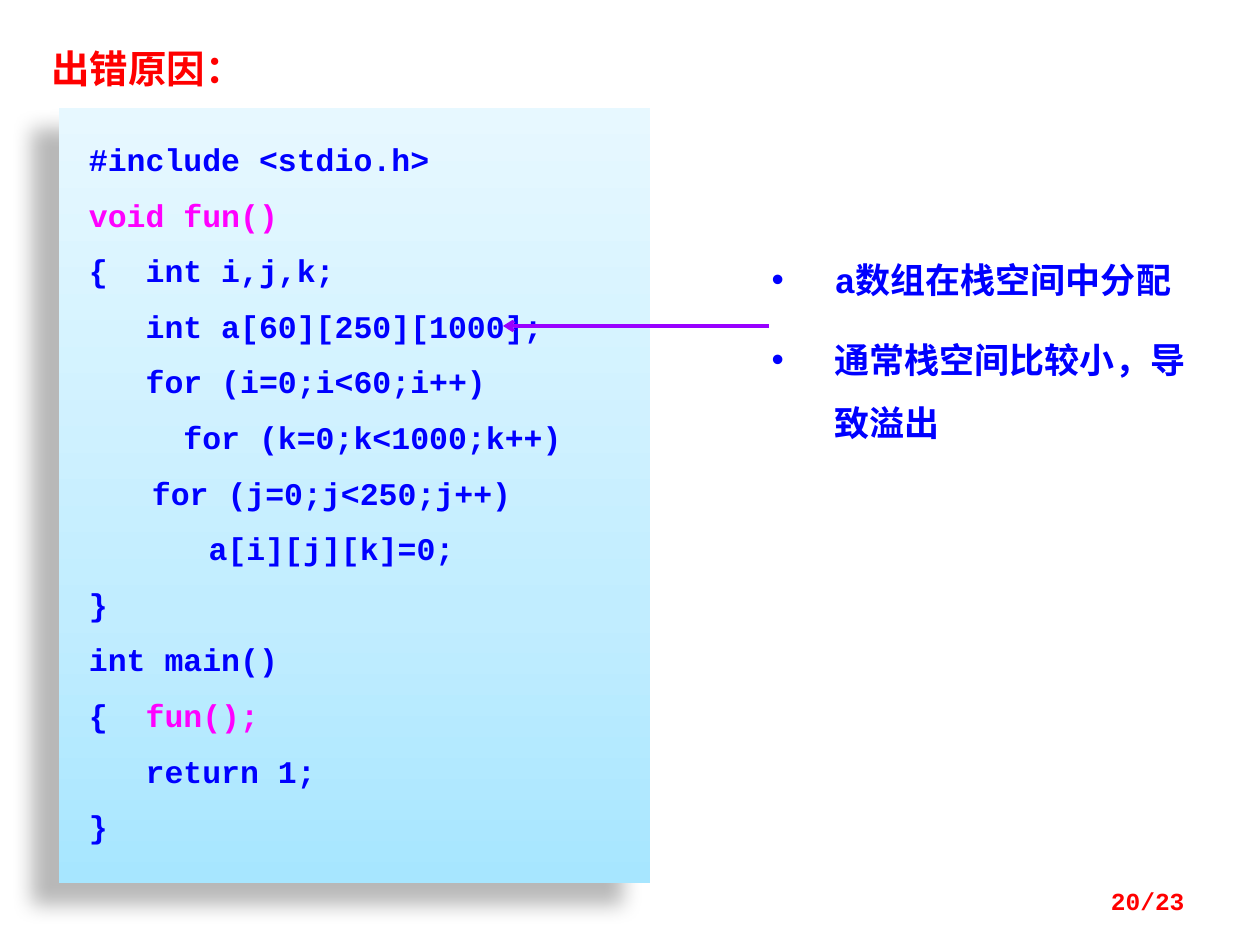
from copy import deepcopy

from lxml import etree
from pptx import Presentation
from pptx import util as u
from pptx.dml.color import RGBColor
from pptx.enum import shapes, text
from pptx.oxml import ns

PX = 914400 // 126
BLUE, PINK, RED, PURPLE = "0000FF", "FF00FF", "FF0000", "9900FF"
MONO, CHINESE = "Courier New", "Noto Sans CJK SC"


def color(value):
    return RGBColor.from_string(value)


def format_run(run, size, value, font=MONO):
    run.font.size = u.Pt(size)
    run.font.bold = True
    run.font.name = font
    run.font.color.rgb = color(value)
    east_asian = etree.SubElement(run.font._element, ns.qn("a:ea"))
    east_asian.set("typeface", CHINESE)


presentation = Presentation()
presentation.slide_width = 1260 * PX
presentation.slide_height = 945 * PX
slide = presentation.slides.add_slide(presentation.slide_layouts[1])

title, reasons = slide.placeholders
boxes = [(title, (39, 39, 246, 59)), (reasons, (759, 231, 462, 217))]
for placeholder, (left, top, width, height) in boxes:
    placeholder.left, placeholder.top = left * PX, top * PX
    placeholder.width, placeholder.height = width * PX, height * PX
    placeholder.text_frame.auto_size = text.MSO_AUTO_SIZE.NONE
    placeholder.text_frame.vertical_anchor = text.MSO_ANCHOR.TOP

title.text_frame.text = "出错原因："
paragraph = title.text_frame.paragraphs[0]
paragraph.alignment = text.PP_ALIGN.LEFT
format_run(paragraph.runs[0], 22, RED, CHINESE)

reasons.text_frame.text = "a数组在栈空间中分配\n通常栈空间比较小，导致溢出"
for index, paragraph in enumerate(reasons.text_frame.paragraphs):
    paragraph.line_spacing = u.Pt(36)
    paragraph.space_before = u.Pt(10 if index else 0)
    properties = paragraph._p.get_or_add_pPr()
    properties.set("marL", str(63 * PX))
    properties.set("indent", str(-63 * PX))
    format_run(paragraph.runs[0], 20, BLUE)

code = slide.shapes.add_shape(
    shapes.MSO_SHAPE.RECTANGLE, 59 * PX, 108 * PX, 591 * PX, 775 * PX)
code.line.fill.background()
code.fill.gradient()
code.fill.gradient_angle = 90
stop_list = code.element.spPr.find(".//" + ns.qn("a:gsLst"))
stop_list.insert(1, deepcopy(stop_list[0]))
stops = [(0, "A7E6FF"), (0.35, "C1EDFF"), (1, "E7F8FF")]
for stop, (position, value) in zip(code.fill.gradient_stops, stops):
    stop.position = position
    stop.color.rgb = color(value)

code.shadow.inherit = False
effects = code.element.spPr.find(ns.qn("a:effectLst"))
shadow = etree.SubElement(
    effects, ns.qn("a:outerShdw"), blurRad=str(u.Pt(11.8)),
    dist=str(u.Pt(19.7)), dir=str(141 * 60000), algn="ctr", rotWithShape="0")
shadow_color = etree.SubElement(shadow, ns.qn("a:srgbClr"), val="000000")
etree.SubElement(shadow_color, ns.qn("a:alpha"), val="28000")

frame = code.text_frame
frame.word_wrap = True
frame.vertical_anchor = text.MSO_ANCHOR.TOP
frame.margin_left, frame.margin_top = 30 * PX, 32 * PX
lines = [
    [("#include <stdio.h>", BLUE)],
    [("void fun()", PINK)],
    [("{  int i,j,k;", BLUE)],
    [("   int a[60][250][1000];", BLUE)],
    [("   for (i=0;i<60;i++)", BLUE)],
    [("     for (k=0;k<1000;k++)", BLUE)],
    [("\tfor (j=0;j<250;j++)", BLUE)],
    [("\t   a[i][j][k]=0;", BLUE)],
    [("}", BLUE)],
    [("int main()", BLUE)],
    [("{  ", BLUE), ("fun();", PINK)],
    [("   return 1;", BLUE)],
    [("}", BLUE)],
]
for index, parts in enumerate(lines):
    paragraph = frame.add_paragraph() if index else frame.paragraphs[0]
    paragraph.alignment = text.PP_ALIGN.LEFT
    paragraph.space_before = u.Pt(10.2 if index else 0)
    for words, value in parts:
        run = paragraph.add_run()
        run.text = words
        format_run(run, 18, value)

arrow = slide.shapes.add_connector(
    shapes.MSO_CONNECTOR.STRAIGHT, 769 * PX, 326 * PX, 503 * PX, 326 * PX)
arrow.line.color.rgb = color(PURPLE)
arrow.line.width = u.Pt(2)
etree.SubElement(arrow.line._get_or_add_ln(), ns.qn("a:tailEnd"), type="arrow")
etree.SubElement(arrow.element.spPr, ns.qn("a:effectLst"))

page_number = slide.shapes.add_textbox(903 * PX, 876 * PX, 294 * PX, 50 * PX)
frame = page_number.text_frame
frame.word_wrap = True
frame.vertical_anchor = text.MSO_ANCHOR.MIDDLE
frame.text = "20/23"
frame.paragraphs[0].alignment = text.PP_ALIGN.RIGHT
format_run(frame.paragraphs[0].runs[0], 14, RED)

presentation.save("out.pptx")
